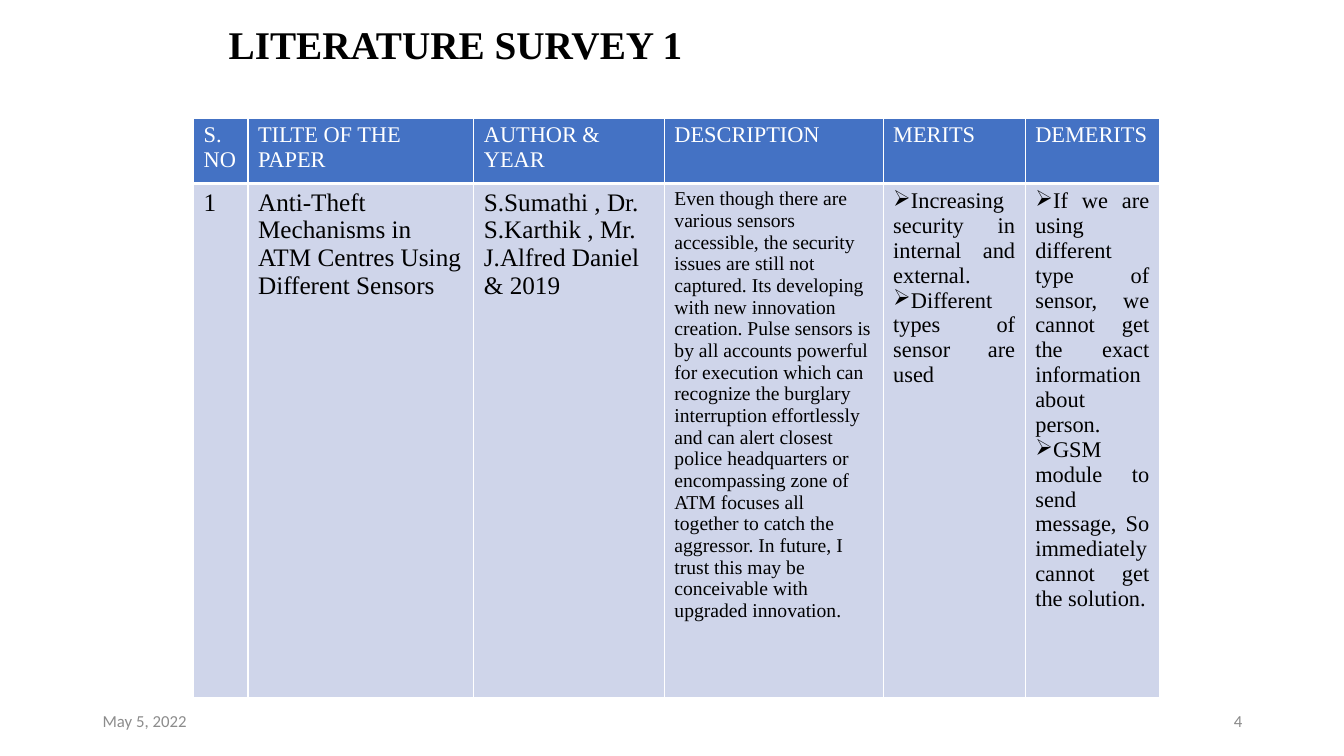
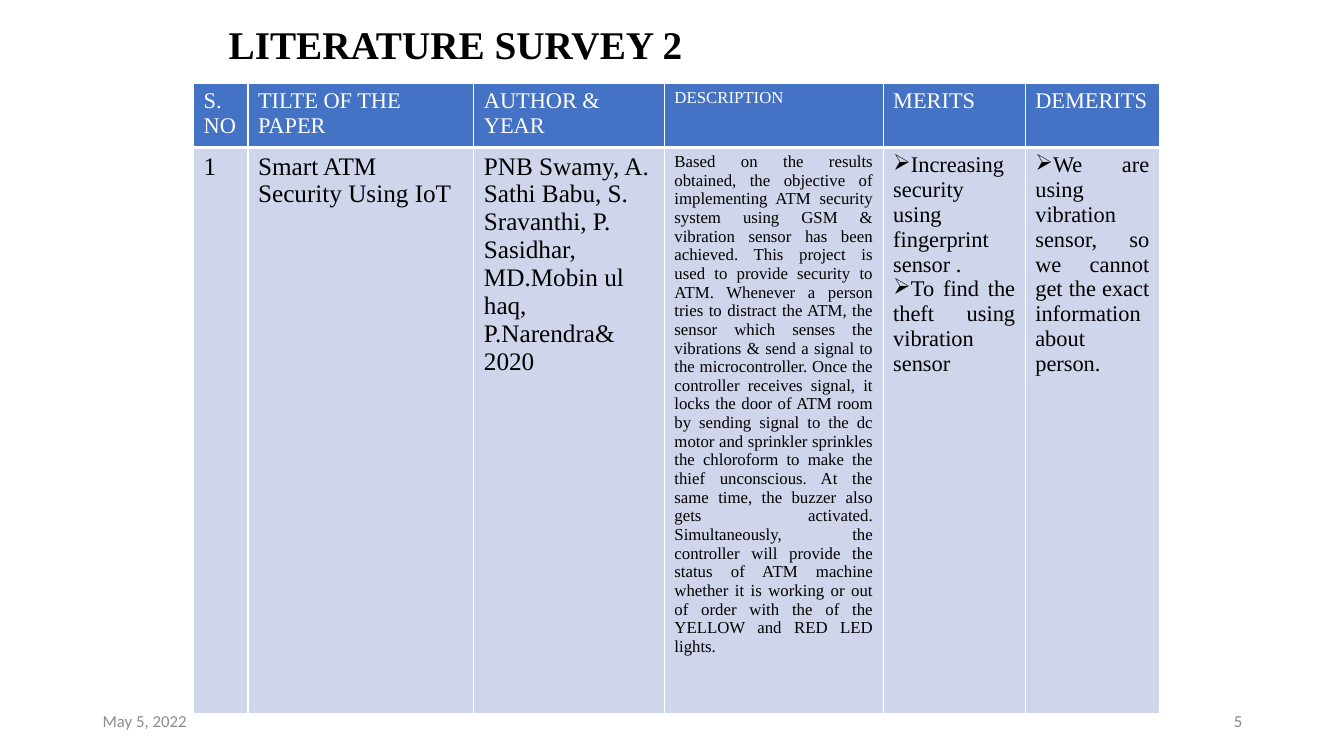
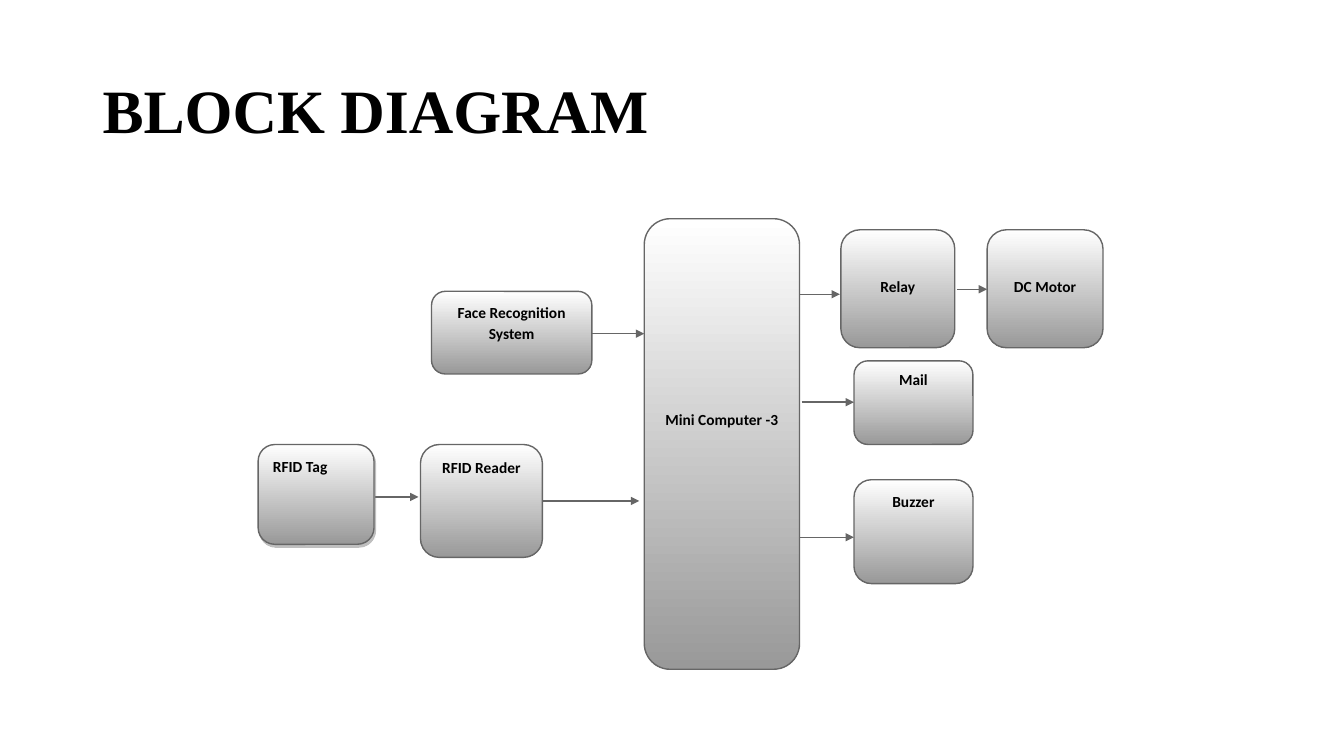
"""Builds three project review slides: two literature surveys and a block diagram."""
from lxml import etree
from pptx import Presentation
from pptx.dml.color import RGBColor
from pptx.enum.shapes import MSO_CONNECTOR, MSO_SHAPE
from pptx.enum.text import MSO_ANCHOR, PP_ALIGN
from pptx.oxml.ns import qn
from pptx.util import Inches, Pt

STRAIGHT, ELBOW = MSO_CONNECTOR.STRAIGHT, MSO_CONNECTOR.ELBOW
ROUNDED = MSO_SHAPE.ROUNDED_RECTANGLE
TOP, MIDDLE = MSO_ANCHOR.TOP, MSO_ANCHOR.MIDDLE
LEFT, CENTER, RIGHT, JUSTIFY = PP_ALIGN.LEFT, PP_ALIGN.CENTER, PP_ALIGN.RIGHT, PP_ALIGN.JUSTIFY

COLORS = {
    "ink": "000000", "white": "FFFFFF", "header": "4472C4", "body": "CFD5EA",
    "date": "8C8C8C", "number": "898989", "block_end": "999999",
    "outline": "666666", "shadow": "808080",
}
SERIF, SANS = "Times New Roman", "Calibri"
FONTS = {
    "survey_title": {"name": SERIF, "size": Pt(28), "bold": True},
    "diagram_title": {"name": SERIF, "size": Pt(44), "bold": True},
    "footer": {"name": SANS, "size": Pt(12)},
    "block": {"name": SANS, "size": Pt(11), "bold": True},
}

DATE = "May 5, 2022"
DATE_BOX, NUMBER_BOX = (0.92, 6.95, 3, 0.4), (9.42, 6.95, 3, 0.4)
SURVEY_TITLE_BOX, DIAGRAM_TITLE_BOX = (2.17, 0, 9, 0.92), (0.92, 0.4, 11.5, 1.45)

HEADINGS = ["S.\nNO", "TILTE OF THE PAPER", "AUTHOR & YEAR", "DESCRIPTION", "MERITS", "DEMERITS"]
COLUMN_WIDTHS = [0.54, 2.24, 1.89, 2.17, 1.41, 1.33]
TABLE_LEFT = 1.92
BULLETED_COLUMNS = (4, 5)
DESCRIPTION_COLUMN = 3
SURVEYS = [
    {
        "title": "LITERATURE SURVEY 1", "number": "4", "top": 1.17, "row_heights": [0.65, 5.1],
        "heading_sizes": [16, 16, 16, 16, 16, 16], "entry_sizes": [18, 18, 18, 14, 16, 16],
        "description_align": LEFT,
        "entry": [
            "1",
            "Anti-Theft Mechanisms in ATM Centres Using Different Sensors",
            "S.Sumathi , Dr. S.Karthik , Mr. J.Alfred Daniel & 2019",
            "Even though there are various sensors accessible, the security issues are still not "
            "captured. Its developing with new innovation creation. Pulse sensors is by all accounts "
            "powerful for execution which can recognize the burglary interruption effortlessly and "
            "can alert closest police headquarters or encompassing zone of ATM focuses all together "
            "to catch the aggressor. In future, I trust this may be conceivable with upgraded "
            "innovation.",
            "Increasing security in internal and external.\nDifferent types of sensor are used",
            "If we are using different type of sensor, we cannot get the exact information about "
            "person.\nGSM module to send message, So immediately cannot get the solution.",
        ],
    },
    {
        "title": "LITERATURE SURVEY 2", "number": "5", "top": 0.83, "row_heights": [0.62, 5.62],
        "heading_sizes": [16, 16, 16, 12, 16, 16], "entry_sizes": [18, 18, 18, 12, 16, 16],
        "description_align": JUSTIFY,
        "entry": [
            "1",
            "Smart ATM Security Using IoT",
            "PNB Swamy, A. Sathi Babu, S. Sravanthi, P. Sasidhar, MD.Mobin ul haq, P.Narendra& 2020",
            "Based on the results obtained, the objective of implementing ATM security system using "
            "GSM & vibration sensor has been achieved. This project is used to provide security to "
            "ATM. Whenever a person tries to distract the ATM, the sensor which senses the vibrations "
            "& send a signal to the microcontroller. Once the controller receives signal, it locks "
            "the door of ATM room by sending signal to the dc motor and sprinkler sprinkles the "
            "chloroform to make the thief unconscious. At the same time, the buzzer also gets "
            "activated. Simultaneously, the controller will provide the status of ATM machine whether "
            "it is working or out of order with the of the YELLOW and RED LED lights.",
            "Increasing security using fingerprint sensor .\n"
            "To find the theft using vibration sensor",
            "We are using vibration sensor, so we cannot get the exact information about person.",
        ],
    },
]

DIAGRAM_TITLE = "BLOCK DIAGRAM"
BLOCKS = [
    ("RFID Reader", (4.17, 4.41, 1.21, 1.12), {}),
    ("Mail", (8.47, 3.58, 1.18, 0.83), {"spacing": 1.0}),
    ("Buzzer", (8.47, 4.76, 1.18, 1.03), {}),
    ("RFID Tag", (2.56, 4.41, 1.15, 0.99), {"align": LEFT, "shadow": True}),
    ("Face Recognition System", (4.28, 2.89, 1.59, 0.82), {}),
    ("Mini Computer -3", (6.39, 2.17, 1.54, 4.47), {"inset": 1.8}),
    ("Relay", (8.34, 2.28, 1.13, 1.17), {"inset": 0.39}),
    ("DC Motor", (9.79, 2.28, 1.15, 1.17), {"inset": 0.39}),
]
ARROWS = [
    (STRAIGHT, 5.38, 6.34, 4.97),
    (ELBOW, 7.95, 8.47, 3.99),
    (ELBOW, 7.81, 8.47, 5.33),
    (STRAIGHT, 3.72, 4.15, 4.93),
    (STRAIGHT, 5.87, 6.39, 3.31),
    (STRAIGHT, 7.93, 8.33, 2.92),
    (STRAIGHT, 9.49, 9.79, 2.87),
]


def rgb(color):
    return RGBColor.from_string(COLORS[color])


def inches(lengths):
    return [Inches(length) for length in lengths]


def apply(target, values):
    for attribute, value in values.items():
        setattr(target, attribute, value)


def write(frame, text, font, color, **paragraph_format):
    for index, line in enumerate(text.split("\n")):
        paragraph = frame.add_paragraph() if index else frame.paragraphs[0]
        apply(paragraph, paragraph_format)
        run = paragraph.add_run()
        run.text = line
        apply(run.font, font)
        run.font.color.rgb = rgb(color)


def add_label(slide, text, box, font, color="ink", **paragraph_format):
    frame = slide.shapes.add_textbox(*inches(box)).text_frame
    apply(frame, {"word_wrap": True, "vertical_anchor": MIDDLE})
    write(frame, text, font, color, **paragraph_format)


def add_title(slide, text, box, style):
    add_label(slide, text, box, FONTS[style], line_spacing=0.9)


def add_footer(slide, number):
    add_label(slide, number, NUMBER_BOX, FONTS["footer"], "number", alignment=RIGHT)
    add_label(slide, DATE, DATE_BOX, FONTS["footer"], "date")


def add_borders(cell, widths):
    properties = cell._tc.get_or_add_tcPr()
    for side, width in zip(("lnL", "lnR", "lnT", "lnB"), widths):
        border = etree.SubElement(properties, qn("a:" + side), w=str(Pt(width)))
        fill = etree.SubElement(border, qn("a:solidFill"))
        etree.SubElement(fill, qn("a:srgbClr"), val=COLORS["white"])


def add_survey_table(slide, survey):
    heights = survey["row_heights"]
    box = (TABLE_LEFT, survey["top"], sum(COLUMN_WIDTHS), sum(heights))
    table = slide.shapes.add_table(len(heights), len(COLUMN_WIDTHS), *inches(box)).table
    for column, width in zip(table.columns, COLUMN_WIDTHS):
        column.width = Inches(width)
    for row, height in zip(table.rows, heights):
        row.height = Inches(height)
    rows = [
        (HEADINGS, survey["heading_sizes"], "white", "header", (1, 1, 1, 3)),
        (survey["entry"], survey["entry_sizes"], "ink", "body", (1, 1, 1, 1)),
    ]
    for row, (texts, sizes, color, fill, borders) in enumerate(rows):
        for column, (text, size) in enumerate(zip(texts, sizes)):
            cell = table.cell(row, column)
            add_borders(cell, borders)
            cell.fill.solid()
            cell.fill.fore_color.rgb = rgb(fill)
            bulleted = row == 1 and column in BULLETED_COLUMNS
            align = JUSTIFY if bulleted else LEFT
            if row == 1 and column == DESCRIPTION_COLUMN:
                align = survey["description_align"]
            font = {"name": SERIF, "size": Pt(size), "bold": False}
            write(cell.text_frame, text, font, color, alignment=align)
            if bulleted:
                for paragraph in cell.text_frame.paragraphs:
                    properties = paragraph._p.get_or_add_pPr()
                    etree.SubElement(properties, qn("a:buChar"), char="\u27a2")


def add_arrow(slide, kind, start, end, y):
    arrow = slide.shapes.add_connector(kind, *inches((start, y, end, y)))
    arrow.line.color.rgb = rgb("outline")
    arrow.line.width = Pt(1)
    properties = arrow.element.spPr
    etree.SubElement(properties.find(qn("a:ln")), qn("a:tailEnd"), type="triangle")
    etree.SubElement(properties, qn("a:effectLst"))


def add_block(slide, text, box, align=CENTER, spacing=1.15, inset=0.05, shadow=False):
    block = slide.shapes.add_shape(ROUNDED, *inches(box))
    block.adjustments[0] = 0.167
    block.fill.gradient()
    block.fill.gradient_angle = 270
    for stop, color in zip(block.fill.gradient_stops, ("white", "block_end")):
        stop.color.rgb = rgb(color)
    block.line.color.rgb = rgb("outline")
    block.line.width = Pt(1)
    block.shadow.inherit = False
    if shadow:
        effects = block.element.spPr.find(qn("a:effectLst"))
        outer = etree.SubElement(effects, qn("a:outerShdw"), dist=str(Pt(2.2)),
                                 dir=str(63 * 60000), algn="ctr", rotWithShape="0")
        shade = etree.SubElement(outer, qn("a:srgbClr"), val=COLORS["shadow"])
        etree.SubElement(shade, qn("a:alpha"), val="50000")
    frame = block.text_frame
    apply(frame, {"word_wrap": True, "vertical_anchor": TOP, "margin_top": Inches(inset)})
    write(frame, text, FONTS["block"], "ink",
          alignment=align, line_spacing=spacing, space_after=Pt(10))


deck = Presentation()
apply(deck, {"slide_width": Inches(13.33), "slide_height": Inches(7.5)})
blank = deck.slide_layouts[6]

for survey in SURVEYS:
    survey_slide = deck.slides.add_slide(blank)
    add_title(survey_slide, survey["title"], SURVEY_TITLE_BOX, "survey_title")
    add_footer(survey_slide, survey["number"])
    add_survey_table(survey_slide, survey)

diagram_slide = deck.slides.add_slide(blank)
add_title(diagram_slide, DIAGRAM_TITLE, DIAGRAM_TITLE_BOX, "diagram_title")
for arrow_ends in ARROWS:
    add_arrow(diagram_slide, *arrow_ends)
for label, block_box, options in BLOCKS:
    add_block(diagram_slide, label, block_box, **options)

deck.save("out.pptx")
